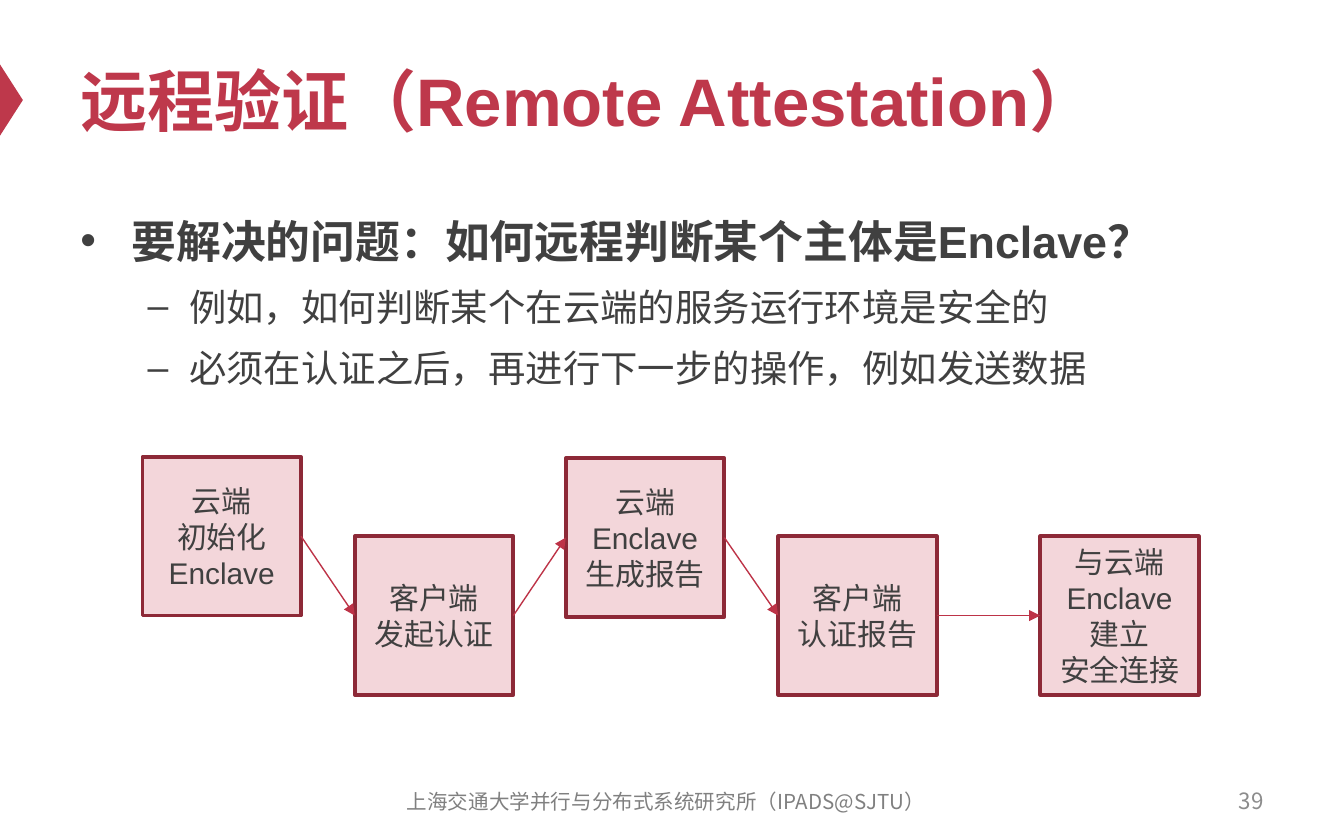
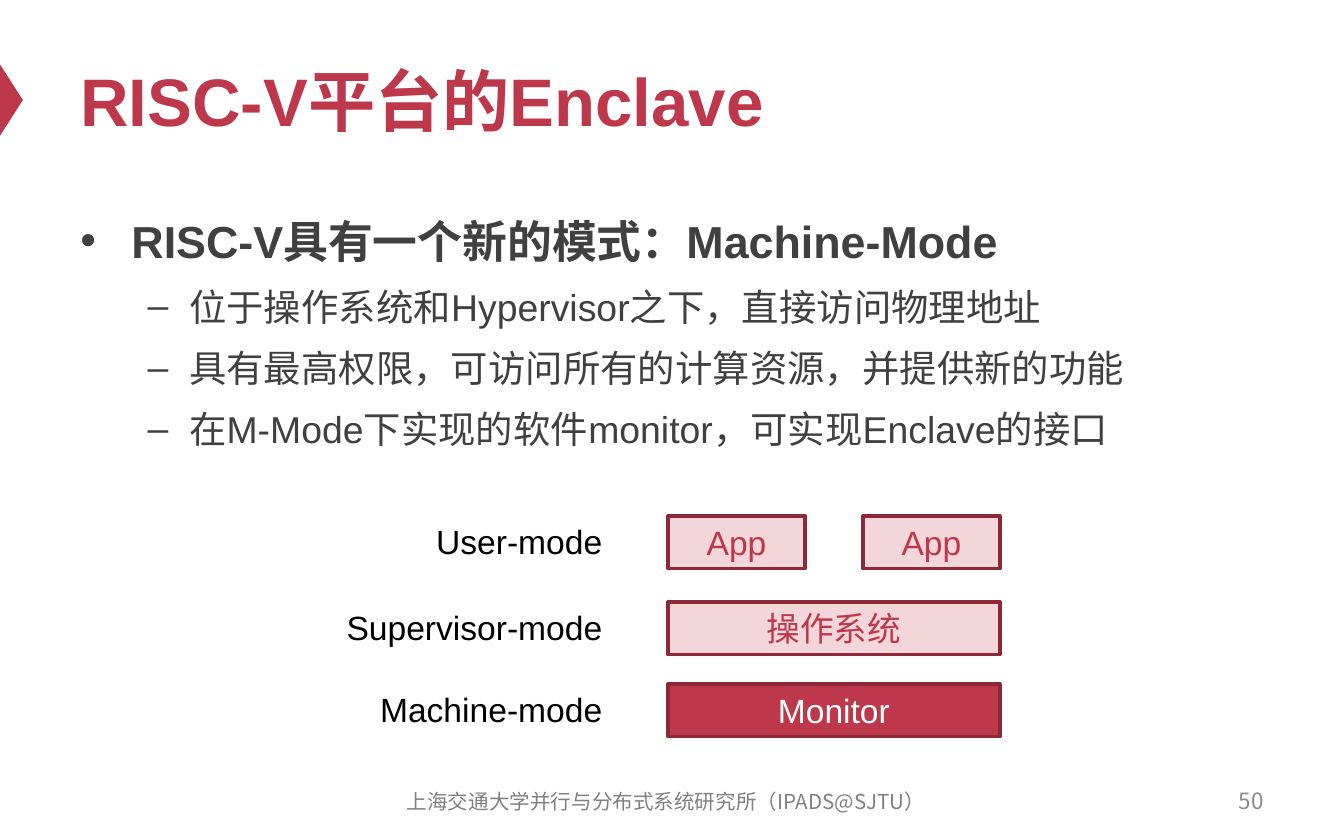
import pptx
import pptx.dml.color
import pptx.enum.lang
import pptx.enum.shapes
import pptx.enum.text
import pptx.oxml.ns
import pptx.util
import lxml.etree

Inches = pptx.util.Inches
Pt = pptx.util.Pt
RGBColor = pptx.dml.color.RGBColor
Align = pptx.enum.text.PP_ALIGN
Anchor = pptx.enum.text.MSO_ANCHOR
Shape = pptx.enum.shapes.MSO_SHAPE
qn = pptx.oxml.ns.qn

RED = RGBColor(0xBE, 0x38, 0x4B)
DARK = RGBColor(0x8D, 0x29, 0x37)
PINK = RGBColor(0xF3, 0xD6, 0xDA)
ARROW = RGBColor(0xBD, 0x33, 0x47)
TEXT = RGBColor(0x40, 0x40, 0x40)
GRAY = RGBColor(0x80, 0x80, 0x80)
PALE = RGBColor(0x8C, 0x8C, 0x8C)
BLACK = RGBColor(0, 0, 0)
WHITE = RGBColor(255, 255, 255)
SANS = "Arial"
NOTO = "Noto Sans CJK SC"
FOOTER = "上海交通大学并行与分布式系统研究所（IPADS@SJTU）"


def style(para, size, color, bold=False, face=SANS, align=Align.LEFT):
    para.alignment = align
    for run in para.runs:
        font = run.font
        font.size = Pt(size)
        font.bold = bold
        font.name = face
        font.color.rgb = color
        font.language_id = pptx.enum.lang.MSO_LANGUAGE_ID.SIMPLIFIED_CHINESE
        east = lxml.etree.Element(qn("a:ea"), typeface=face)
        font._element.find(qn("a:latin")).addnext(east)


def add_text(slide, area, text, size, color, anchor=Anchor.MIDDLE, **look):
    frame = slide.shapes.add_textbox(*map(Inches, area)).text_frame
    frame.word_wrap = True
    frame.vertical_anchor = anchor
    frame.text = text
    for para in frame.paragraphs:
        style(para, size, color, **look)
    return frame


def add_box(slide, area, text, size, color, fill=PINK):
    box = slide.shapes.add_shape(Shape.RECTANGLE, *map(Inches, area))
    box.shadow.inherit = False
    box.fill.solid()
    box.fill.fore_color.rgb = fill
    box.line.color.rgb = DARK
    box.line.width = Pt(2)
    frame = box.text_frame
    frame.word_wrap = True
    frame.vertical_anchor = Anchor.MIDDLE
    frame.text = text
    for para in frame.paragraphs:
        style(para, size, color, align=Align.CENTER)
    return box


def add_arrow(slide, start, end):
    line = slide.shapes.add_connector(
        pptx.enum.shapes.MSO_CONNECTOR.STRAIGHT, 0, 0, 0, 0)
    line.begin_connect(start, 3)
    line.end_connect(end, 1)
    line.line.color.rgb = ARROW
    line.line.width = Pt(0.75)
    lxml.etree.SubElement(line.line._get_or_add_ln(), qn("a:tailEnd"),
                          type="triangle")
    lxml.etree.SubElement(line._element.spPr, qn("a:effectLst"))


def add_mark(para, mark, left, hang):
    props = para._p.get_or_add_pPr()
    props.set("marL", str(Inches(left)))
    props.set("indent", str(-Inches(hang)))
    lxml.etree.SubElement(props, qn("a:buFont"), typeface=SANS)
    lxml.etree.SubElement(props, qn("a:buChar"), char=mark)


def add_list(slide, height, head, items):
    frame = add_text(slide, (0.5, 1.46, 9, height), "\n".join([head] + items),
                     20, TEXT, Anchor.TOP)
    first, *rest = frame.paragraphs
    add_mark(first, "•", 0.38, 0.38)
    first.line_spacing = 1.2
    for run in first.runs:
        run.font.size = Pt(24)
        run.font.bold = True
    for para in rest:
        para.level = 1
        add_mark(para, "–", 0.81, 0.31)
        para.line_spacing = 1.2
        para.space_before = Pt(4)


def add_page(deck, title, number):
    slide = deck.slides.add_slide(deck.slide_layouts[6])
    flag = slide.shapes.add_shape(
        Shape.ISOSCELES_TRIANGLE, *map(Inches, (-0.18, 0.66, 0.53, 0.17)))
    flag.rotation = 90
    flag.shadow.inherit = False
    flag.fill.solid()
    flag.fill.fore_color.rgb = RED
    flag.line.fill.background()
    add_text(slide, (0.5, 0.25, 9, 0.98), title, 36, RED, bold=True)
    add_text(slide, (7.17, 5.79, 2.33, 0.33), str(number), 12, PALE,
             face=NOTO, align=Align.RIGHT)
    add_text(slide, (2.79, 5.8, 4.33, 0.33), FOOTER, 11, GRAY,
             face=NOTO, align=Align.CENTER)
    return slide


def add_flow(slide, steps):
    side = 1.18
    boxes = [add_box(slide, (left, top, side, side), text, 16, TEXT)
             for left, top, text in steps]
    for start, end in zip(boxes, boxes[1:]):
        add_arrow(slide, start, end)


def add_modes(slide, rows):
    left, full, high = 4.97, 2.47, 0.39
    for top, mode, names, width, color, fill in rows:
        for i, name in enumerate(names):
            area = (left + i * (full - width), top, width, high)
            add_box(slide, area, name, 18, color, fill)
        add_text(slide, (1.74, top - 0.01, 2.84, 0.4), mode, 18, BLACK,
                 Anchor.TOP, align=Align.RIGHT)


def main():
    deck = pptx.Presentation()
    deck.slide_width = Inches(10)
    deck.slide_height = Inches(6.25)

    slide = add_page(deck, "远程验证（Remote Attestation）", 39)
    add_list(slide, 1.9, "要解决的问题：如何远程判断某个主体是Enclave？", [
        "例如，如何判断某个在云端的服务运行环境是安全的",
        "必须在认证之后，再进行下一步的操作，例如发送数据",
    ])
    add_flow(slide, [
        (1.06, 3.4, "云端\v初始化\nEnclave"),
        (2.64, 3.99, "客户端\v发起认证"),
        (4.21, 3.41, "云端\nEnclave\v生成报告"),
        (5.79, 3.99, "客户端\v认证报告"),
        (7.74, 3.99, "与云端\nEnclave\n建立\n安全连接"),
    ])

    slide = add_page(deck, "RISC-V平台的Enclave", 50)
    add_list(slide, 4.12, "RISC-V具有一个新的模式：Machine-Mode", [
        "位于操作系统和Hypervisor之下，直接访问物理地址",
        "具有最高权限，可访问所有的计算资源，并提供新的功能",
        "在M-Mode下实现的软件monitor，可实现Enclave的接口",
    ])
    add_modes(slide, [
        (3.84, "User-mode", ["App", "App"], 1.02, RED, PINK),
        (4.48, "Supervisor-mode", ["操作系统"], 2.47, RED, PINK),
        (5.09, "Machine-mode", ["Monitor"], 2.47, WHITE, RED),
    ])
    deck.save("out.pptx")


if __name__ == "__main__":
    main()
